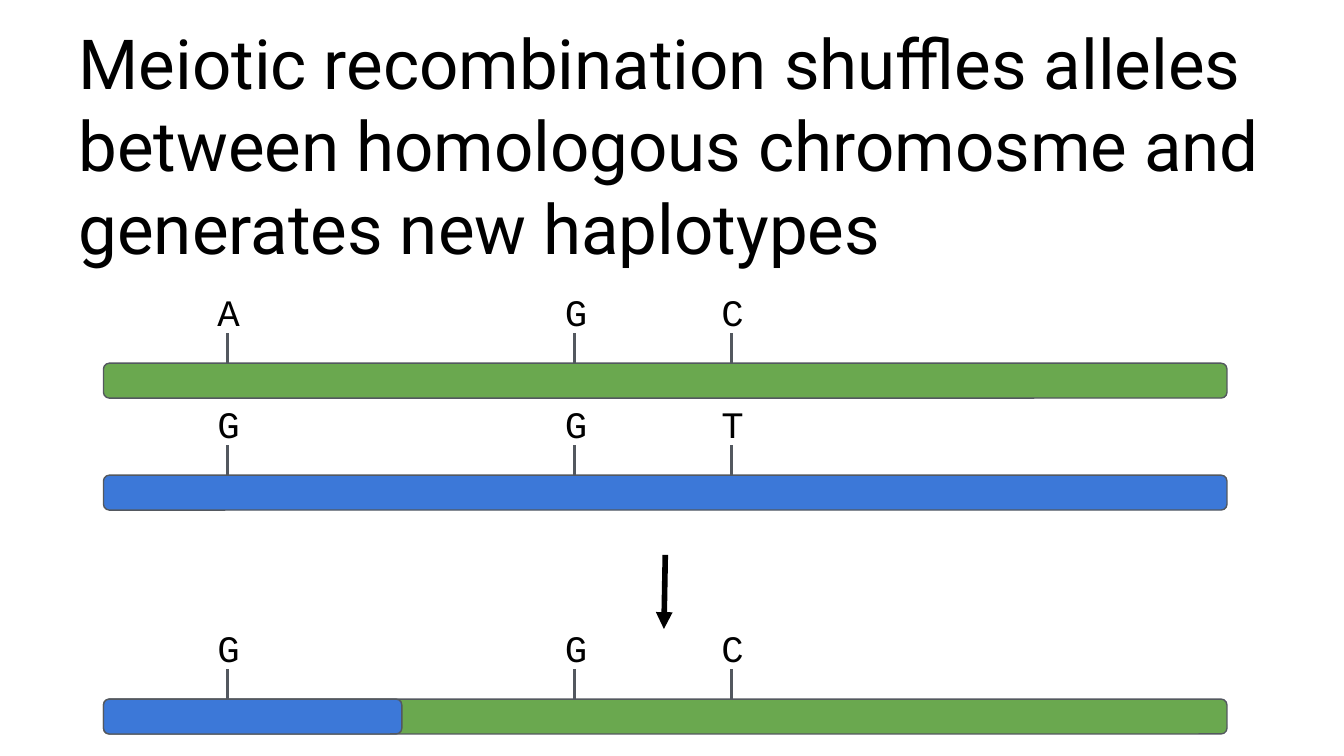
from lxml.etree import SubElement
from pptx import Presentation
from pptx.dml.color import RGBColor
from pptx.enum.shapes import MSO_CONNECTOR, MSO_SHAPE
from pptx.enum.text import MSO_ANCHOR
from pptx.oxml.ns import qn
from pptx.util import Inches, Pt

COLORS = {"green": "6AA84F", "blue": "3C78D8", "outline": "53585F", "ink": "000000"}
WIDTH = Inches(10)
HEIGHT = WIDTH * 9 // 16
GRID = 100
LOCI = (9.2, 35.05, 46.7)
BAR_LEFT, BAR_WIDTH, BAR_HEIGHT = 7.7, 83.6, 4.62
FIRST_BAR, BAR_PITCH = 48.05, 14.81
CHROMOSOMES = (
    (0, "AGC", (("green", BAR_WIDTH),)),
    (1, "GGT", (("blue", BAR_WIDTH),)),
    (3, "GGC", (("green", BAR_WIDTH), ("blue", 22.2))),
)


def color(name):
    """Return the named colour."""
    return RGBColor.from_string(COLORS[name])


def column(count):
    """Return the length of a number of grid columns."""
    return round(WIDTH * count / GRID)


def row(count):
    """Return the length of a number of grid rows."""
    return round(HEIGHT * count / GRID)


def place(left, top, width, height):
    """Turn a box in grid units into slide lengths."""
    return column(left), row(top), column(width), row(height)


def add_text(page, box, text, *, font, size, anchor=MSO_ANCHOR.TOP, inset=0.1, bottom=0.1):
    """Write one paragraph of text in a box."""
    frame = page.shapes.add_textbox(*place(*box)).text_frame
    frame.word_wrap = True
    frame.vertical_anchor = anchor
    frame.margin_left = frame.margin_right = frame.margin_top = Inches(inset)
    frame.margin_bottom = Inches(bottom)
    span = frame.paragraphs[0].add_run()
    span.text = text
    span.font.name = font
    span.font.size = Pt(size)
    span.font.color.rgb = color("ink")


def add_line(page, start, end, *, line, weight, arrow=False):
    """Draw a straight line between two grid points."""
    connector = page.shapes.add_connector(
        MSO_CONNECTOR.STRAIGHT,
        column(start[0]), row(start[1]), column(end[0]), row(end[1]),
    )
    connector.line.color.rgb = color(line)
    connector.line.width = Pt(weight)
    properties = connector._element.spPr
    if arrow:
        SubElement(properties.find(qn("a:ln")), qn("a:tailEnd"), type="triangle")
    SubElement(properties, qn("a:effectLst"))


def add_bar(page, box, fill):
    """Draw one rounded chromosome segment."""
    bar = page.shapes.add_shape(MSO_SHAPE.ROUNDED_RECTANGLE, *place(*box))
    bar.shadow.inherit = False
    bar.fill.solid()
    bar.fill.fore_color.rgb = color(fill)
    bar.line.color.rgb = color("outline")
    bar.line.width = Pt(0.75)


def add_chromosome(page, box, alleles, segments):
    """Draw a chromosome with its alleles marked above."""
    left, top, _, height = box
    for fill, width in segments:
        add_bar(page, (left, top, width, height), fill)
    for locus, allele in zip(LOCI, alleles):
        center = left + locus
        add_line(page, (center, top), (center, top - 4), line="outline", weight=1.5)
        label = (center - 1.7, top - 11.56, 3.4, height)
        add_text(page, label, allele, font="Courier New", size=20)


def add_title(page, box):
    """Write the slide's heading."""
    add_text(
        page, box,
        "Meiotic recombination shuffles alleles between homologous chromosme "
        "and generates new haplotypes",
        font="Roboto", size=37, anchor=MSO_ANCHOR.MIDDLE, inset=0.04, bottom=0.39,
    )


def build():
    """Build and save the deck."""
    deck = Presentation()
    deck.slide_width, deck.slide_height = WIDTH, HEIGHT
    page = deck.slides.add_slide(deck.slide_layouts[6])
    add_title(page, (5.45, 15.95, 88.9, 12.5))
    for index, alleles, segments in CHROMOSOMES:
        box = (BAR_LEFT, FIRST_BAR + index * BAR_PITCH, BAR_WIDTH, BAR_HEIGHT)
        add_chromosome(page, box, alleles, segments)
    add_line(page, (49.5, 73.4), (49.4, 83.2), line="ink", weight=3, arrow=True)
    deck.save("out.pptx")


if __name__ == "__main__":
    build()
